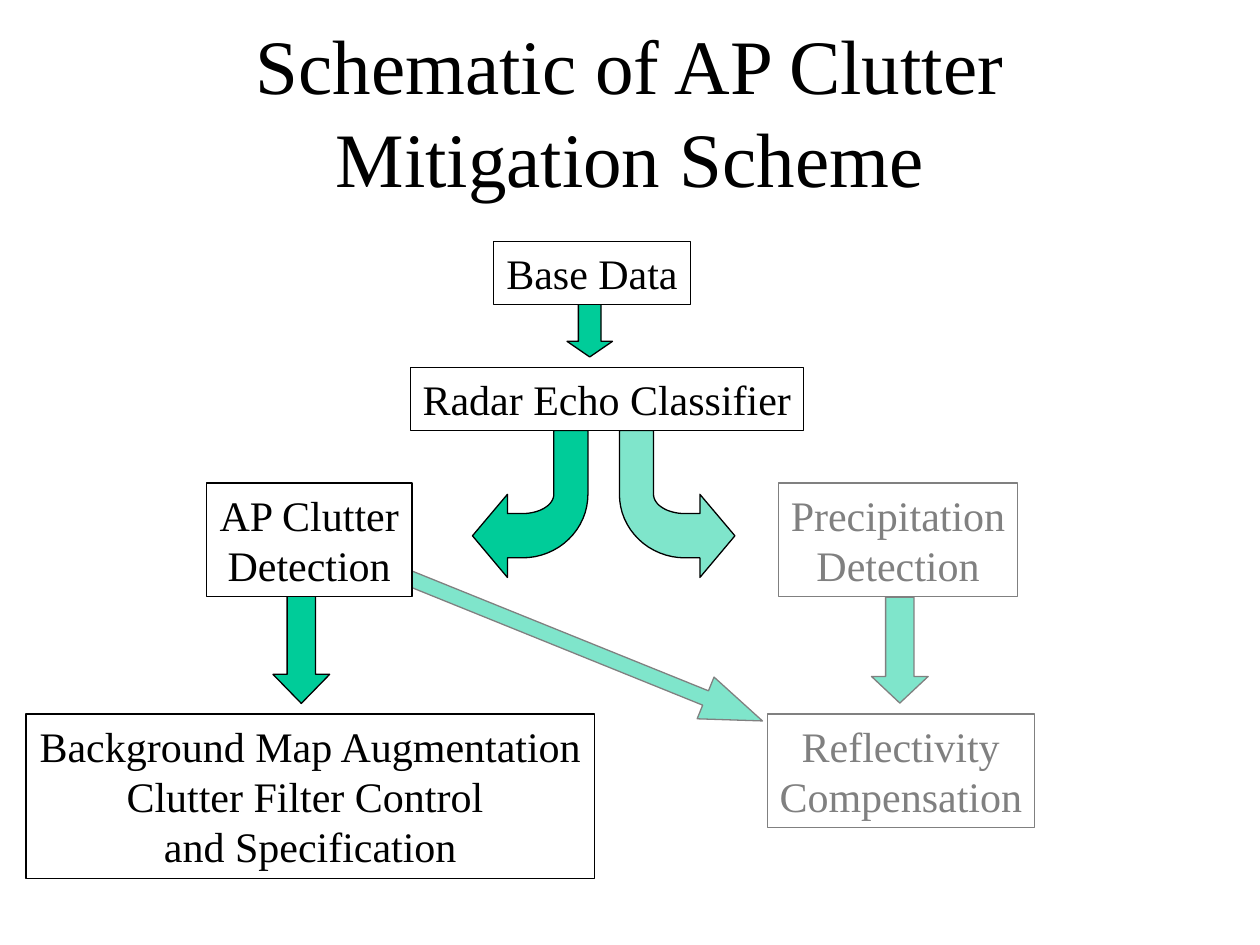
from math import cos, sin, pi
from lxml import etree
from pptx import Presentation
from pptx.dml.color import RGBColor
from pptx.enum.shapes import MSO_SHAPE as SHAPE
from pptx.enum.text import MSO_ANCHOR as ANCHOR, MSO_AUTO_SIZE as AUTO, PP_ALIGN as ALIGN
from pptx.oxml.ns import qn
from pptx.util import Pt

BLACK = RGBColor(0x00, 0x00, 0x00)
GREY = RGBColor(0x80, 0x80, 0x80)
WHITE = RGBColor(0xFF, 0xFF, 0xFF)
GREEN = RGBColor(0x00, 0xCC, 0x99)
FONT = "Times New Roman"


def paint(sp, fill, line, faded=False):
    """Fill (None for no fill) and outline a shape; faded makes the fill half transparent."""
    sp.shadow.inherit = False
    sp.line.color.rgb = line
    sp.line.width = Pt(0.75)
    if fill is None:
        sp.fill.background()
        return
    sp.fill.solid()
    sp.fill.fore_color.rgb = fill
    if faded:
        color = sp._element.spPr.find(qn("a:solidFill"))[0]
        etree.SubElement(color, qn("a:alpha")).set("val", "50000")


def write(p, text, size, color):
    p.alignment = ALIGN.CENTER
    r = p.add_run()
    r.text = text
    r.font.name = FONT
    r.font.size = Pt(size)
    r.font.color.rgb = color


prs = Presentation()
prs.slide_width, prs.slide_height = Pt(720), Pt(540)
s = prs.slides.add_slide(prs.slide_layouts[5])

# Title
title = s.shapes.title
title.left, title.top, title.width, title.height = Pt(54), Pt(18), Pt(612), Pt(90)
tf = title.text_frame
tf.word_wrap = True
tf.auto_size = AUTO.NONE
tf.vertical_anchor = ANCHOR.MIDDLE
write(tf.paragraphs[0], "Schematic of AP Clutter Mitigation Scheme", 44, BLACK)

# Straight arrows: left, top, width, height, shaft, head, rotation, line, faded
arrows = [
    (311.9, 247.5, 25.7, 239.3, 0.343, 1.362, 292, GREY, True),
    (498, 341.3, 32.4, 60.5, 0.5, 0.469, 0, GREY, True),
    (156, 336, 32.4, 66, 0.5, 0.512, 0, BLACK, False),
    (324, 168, 26, 36, 0.5, 0.343, 0, BLACK, False),
]
for x, y, w, h, shaft, head, angle, line, faded in arrows:
    sp = s.shapes.add_shape(SHAPE.DOWN_ARROW, Pt(x), Pt(y), Pt(w), Pt(h))
    sp.adjustments[0], sp.adjustments[1] = shaft, head
    sp.rotation = angle
    paint(sp, GREEN, line, faded)

# Bent arrows: one outline of (sideways, down) offsets, mirrored to each side
STEPS = 16
turn = [i * pi / 2 / STEPS for i in range(STEPS + 1)]
outer = [(37.5 - 37.5 * cos(a), 36.5 + 36.3 * sin(a)) for a in turn]
inner = [(37.5 - 18 * cos(a), 36.5 + 11 * sin(a)) for a in reversed(turn)]
head = [(46, 72.8), (46, 84), (66, 60.2), (46, 36.5), (46, 47.5)]
outline = [(0, 0)] + outer + head + inner + [(19.5, 0)]
for left, side, faded in ((354, 1, True), (336, -1, False)):
    points = [(Pt(left + side * dx), Pt(246 + dy)) for dx, dy in outline]
    builder = s.shapes.build_freeform(*points[0])
    builder.add_line_segments(points[1:], close=True)
    paint(builder.convert_to_shape(), GREEN, BLACK, faded)

# Boxes: left, top, width, height, lines, colour, fill, faded
boxes = [
    (282.2, 138, 112.3, 36, ["Base Data"], BLACK, WHITE, False),
    (234.5, 210, 224.6, 36, ["Radar Echo Classifier"], BLACK, WHITE, False),
    (444.8, 276, 136.8, 65, ["Precipitation", "Detection"], GREY, WHITE, True),
    (438.4, 408, 152.8, 65, ["Reflectivity", "Compensation"], GREY, None, False),
    (14.8, 408, 325, 94,
     ["Background Map Augmentation", "Clutter Filter Control ", "and Specification"],
     BLACK, None, False),
    (118, 276, 117.4, 65, ["AP Clutter", "Detection"], BLACK, WHITE, False),
]
for x, y, w, h, lines, color, fill, faded in boxes:
    sp = s.shapes.add_shape(SHAPE.RECTANGLE, Pt(x), Pt(y), Pt(w), Pt(h))
    paint(sp, fill, color, faded)
    tf = sp.text_frame
    tf.word_wrap = False
    tf.auto_size = AUTO.NONE
    tf.margin_left = tf.margin_right = Pt(3.6)
    tf.vertical_anchor = ANCHOR.TOP
    for i, text in enumerate(lines):
        p = tf.add_paragraph() if i else tf.paragraphs[0]
        write(p, text, 24, color)

prs.save("out.pptx")
